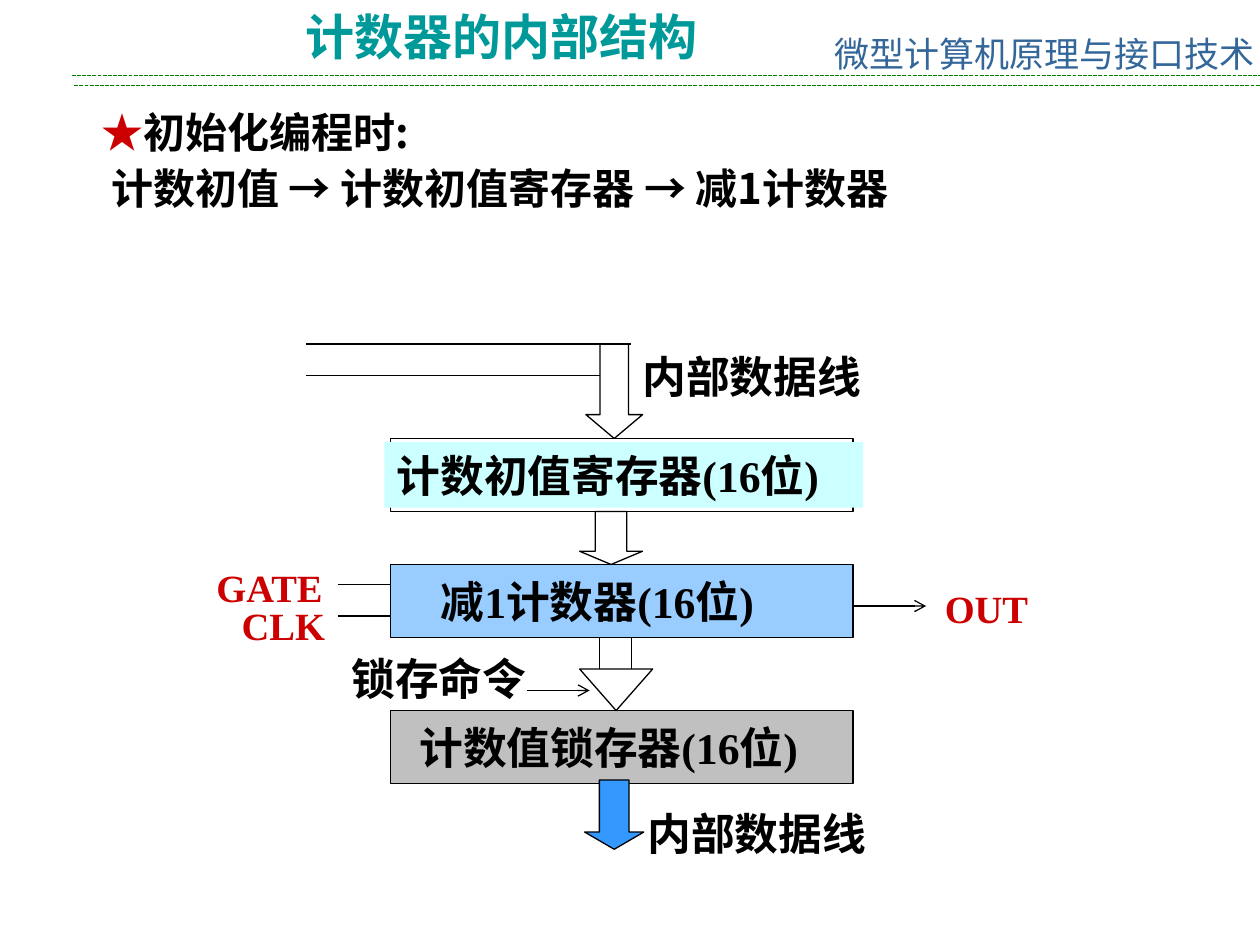
from typing import NamedTuple, Optional

from lxml import etree
from pptx import Presentation
from pptx.dml.color import RGBColor
from pptx.enum.dml import MSO_LINE
from pptx.enum.shapes import MSO_CONNECTOR, MSO_SHAPE
from pptx.enum.text import PP_ALIGN
from pptx.oxml.ns import qn
from pptx.util import Inches, Pt

RECTANGLE = MSO_SHAPE.RECTANGLE
DOWN_ARROW = MSO_SHAPE.DOWN_ARROW
MERGE = MSO_SHAPE.FLOWCHART_MERGE
STRAIGHT = MSO_CONNECTOR.STRAIGHT
DOTTED = MSO_LINE.SQUARE_DOT
CENTER, JUSTIFY = PP_ALIGN.CENTER, PP_ALIGN.JUSTIFY

BLACK = RGBColor(0x00, 0x00, 0x00)
GREEN = RGBColor(0x00, 0x80, 0x00)
TEAL = RGBColor(0x00, 0x99, 0x99)
SLATE = RGBColor(0x33, 0x66, 0x99)
RED = RGBColor(0xCC, 0x00, 0x00)
CYAN = RGBColor(0xCC, 0xFF, 0xFF)
LIGHT_BLUE = RGBColor(0x99, 0xCC, 0xFF)
BLUE = RGBColor(0x33, 0x99, 0xFF)
GRAY = RGBColor(0xC0, 0xC0, 0xC0)

SANS, SERIF, ARIAL = "Noto Sans CJK SC", "Times New Roman", "Arial"


class Block(NamedTuple):
    kind: int
    left: float
    top: float
    width: float
    height: float
    fill: Optional[RGBColor] = None
    head: Optional[float] = None


class Wire(NamedTuple):
    x1: float
    y1: float
    x2: float
    y2: float
    arrow: bool = False
    color: RGBColor = BLACK
    dotted: bool = False


class Run(NamedTuple):
    text: str
    size: float
    color: RGBColor = BLACK
    font: str = SERIF
    bold: bool = True


class Label(NamedTuple):
    left: float
    top: float
    width: float
    height: float
    run: Run
    fill: Optional[RGBColor] = None


def draw_block(slide, block: Block) -> None:
    shape = slide.shapes.add_shape(
        block.kind, Inches(block.left), Inches(block.top),
        Inches(block.width), Inches(block.height))
    shape.shadow.inherit = False
    if block.fill is None:
        shape.fill.background()
    else:
        shape.fill.solid()
        shape.fill.fore_color.rgb = block.fill
    shape.line.color.rgb = BLACK
    shape.line.width = Pt(0.75)
    if block.head is not None:
        shape.adjustments[0] = 0.5
        shape.adjustments[1] = block.head


def draw_wire(slide, wire: Wire) -> None:
    line = slide.shapes.add_connector(
        STRAIGHT, Inches(wire.x1), Inches(wire.y1),
        Inches(wire.x2), Inches(wire.y2))
    line.line.color.rgb = wire.color
    line.line.width = Pt(0.75)
    if wire.dotted:
        line.line.dash_style = DOTTED
    if wire.arrow:
        etree.SubElement(line.line._get_or_add_ln(), qn("a:tailEnd"), type="arrow")
    etree.SubElement(line._element.spPr, qn("a:effectLst"))


def add_text_frame(slide, left: float, top: float, width: float, height: float,
                   fill: Optional[RGBColor] = None):
    box = slide.shapes.add_textbox(
        Inches(left), Inches(top), Inches(width), Inches(height))
    if fill is not None:
        box.fill.solid()
        box.fill.fore_color.rgb = fill
    box.text_frame.word_wrap = True
    box.text_frame.margin_right = 0
    return box.text_frame


def add_run(paragraph, content: Run) -> None:
    run = paragraph.add_run()
    run.text = content.text
    run.font.size = Pt(content.size)
    run.font.bold = content.bold
    run.font.name = content.font
    run.font.color.rgb = content.color
    etree.SubElement(run.font._element, qn("a:ea"), typeface=SANS)


def indent(paragraph, margin: float) -> None:
    paragraph._p.get_or_add_pPr().set("marL", str(Inches(margin)))


def draw_label(slide, label: Label) -> None:
    frame = add_text_frame(slide, *label[:4], fill=label.fill)
    add_run(frame.paragraphs[0], label.run)


def draw_header(slide) -> None:
    draw_wire(slide, Wire(0.59, 0.68, 10, 0.68, color=GREEN, dotted=True))
    draw_wire(slide, Wire(0.57, 0.6, 10, 0.6, color=GREEN, dotted=True))
    course_frame = add_text_frame(slide, 6.58, 0.21, 3.42, 0.28)
    course_frame.margin_left = 0
    course = course_frame.paragraphs[0]
    course.alignment = CENTER
    add_run(course, Run("微型计算机原理与接口技术", 20, SLATE, SANS, False))
    title = add_text_frame(slide, 1.85, 0, 4.09, 0.57).paragraphs[0]
    indent(title, 0.39)
    add_run(title, Run(" 计数器的内部结构", 28, TEAL, SANS))


def draw_steps(slide) -> None:
    frame = add_text_frame(slide, 0.29, 0.76, 9.71, 0.98)
    steps = (
        (Run("★", 24, RED, ARIAL), Run("初始化编程时:", 24, font=SANS)),
        (Run(" 计数初值 → 计数初值寄存器 → 减1计数器", 24, font=SANS),),
    )
    for number, runs in enumerate(steps):
        paragraph = frame.add_paragraph() if number else frame.paragraphs[0]
        paragraph.alignment = JUSTIFY
        paragraph.line_spacing = 1.1
        indent(paragraph, 0.42)
        for run in runs:
            add_run(paragraph, run)


REGISTER = dict(kind=RECTANGLE, left=3.1, width=3.67, height=0.58)
BLOCKS = (
    # Registers and counter
    Block(top=3.48, **REGISTER),
    Block(top=4.48, fill=LIGHT_BLUE, **REGISTER),
    Block(top=5.64, fill=GRAY, **REGISTER),
    # Data flow between them
    Block(DOWN_ARROW, 4.65, 2.73, 0.45, 0.75, head=0.42),
    Block(DOWN_ARROW, 4.6, 4.06, 0.5, 0.42, head=0.25),
    Block(MERGE, 4.6, 5.31, 0.58, 0.33),
    Block(DOWN_ARROW, 4.64, 6.19, 0.47, 0.55, BLUE, 0.29),
)
WIRES = (
    # Internal data bus
    Wire(2.43, 2.73, 5.01, 2.73),
    Wire(2.43, 2.98, 4.76, 2.98),
    # Latch gate
    Wire(4.76, 5.06, 4.76, 5.31),
    Wire(5.01, 5.06, 5.01, 5.31),
    Wire(4.18, 5.48, 4.68, 5.48, arrow=True),
    # GATE, CLK and OUT pins
    Wire(2.68, 4.64, 3.1, 4.64),
    Wire(2.68, 4.89, 3.1, 4.89),
    Wire(6.76, 4.81, 7.35, 4.81, arrow=True),
)
LABELS = (
    Label(5, 2.73, 1.93, 0.52, Run("内部数据线", 25)),
    Label(3.05, 3.51, 3.8, 0.52, Run("计数初值寄存器(16位)", 25), CYAN),
    Label(3.4, 4.51, 3.1, 0.52, Run("减1计数器(16位)", 25)),
    Label(3.23, 5.67, 3.45, 0.52, Run("计数值锁存器(16位)", 25)),
    Label(2.69, 5.12, 1.58, 0.52, Run("锁存命令", 25)),
    Label(5.04, 6.35, 1.93, 0.52, Run("内部数据线", 25)),
    Label(1.62, 4.43, 1.06, 0.47, Run("GATE", 22, RED)),
    Label(1.82, 4.73, 0.86, 0.47, Run("CLK", 22, RED)),
    Label(7.4, 4.59, 0.86, 0.47, Run("OUT", 22, RED)),
)


def main() -> None:
    deck = Presentation()
    deck.slide_width, deck.slide_height = Inches(10), Inches(7.5)
    slide = deck.slides.add_slide(deck.slide_layouts[6])
    draw_header(slide)
    draw_steps(slide)
    for draw, parts in ((draw_block, BLOCKS), (draw_wire, WIRES), (draw_label, LABELS)):
        for part in parts:
            draw(slide, part)
    deck.save("out.pptx")


if __name__ == "__main__":
    main()
